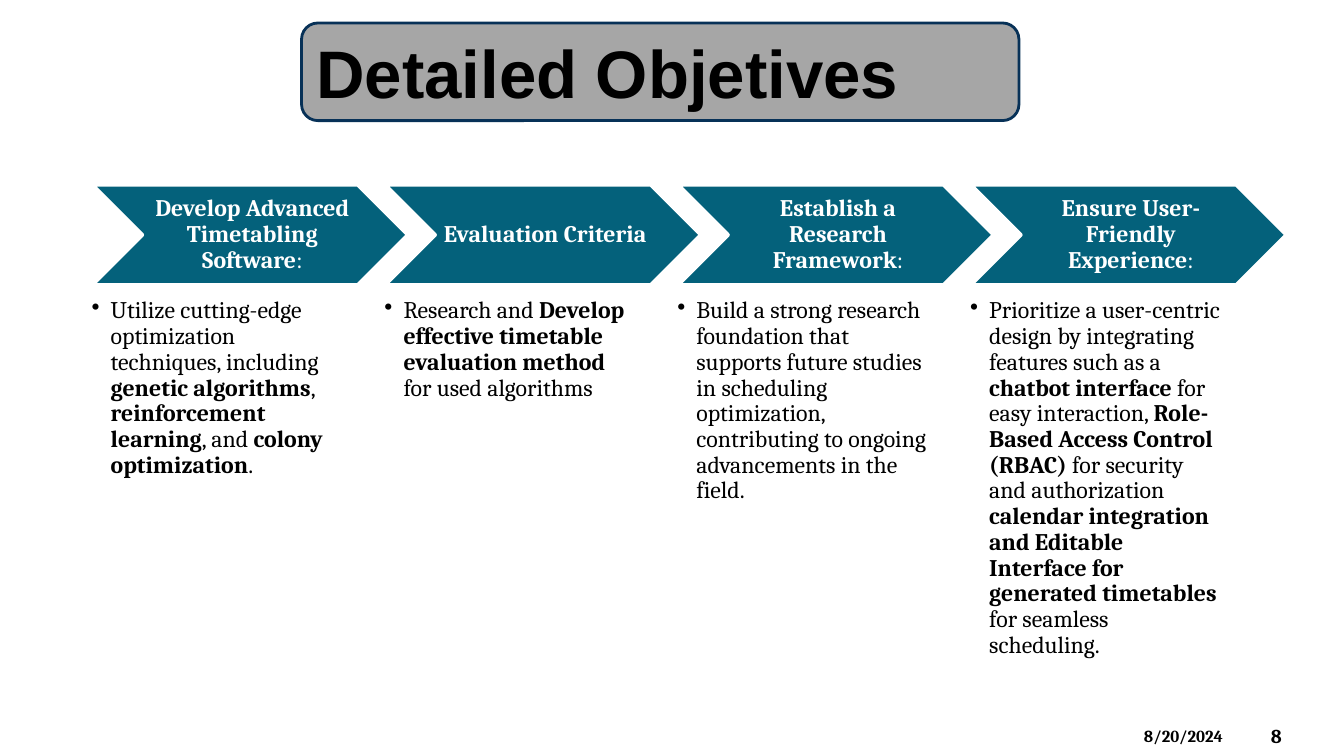
import pptx
import pptx.dml.color
import pptx.enum.shapes
import pptx.enum.text
import pptx.util
from lxml import etree
from pptx.util import Cm, Pt

TITLE = "Detailed Objetives"
FOOTERS = [  # text, size, left, top, width, height
    ("8/20/2024", 12, 28.58, 18.16, 2.97, 0.76),
    ("8", 14, 31.78, 18.03, 1.88, 1.02),
]
# Each objective: heading spans, then detail spans, as (text, bold)
OBJECTIVES = [
    ([("Develop Advanced Timetabling Software", True), (":", False)],
     [("Utilize cutting-edge optimization techniques, including ", False),
      ("genetic algorithms", True), (", ", False),
      ("reinforcement learning", True), (", and ", False),
      ("colony optimization", True), (".", False)]),
    ([("Evaluation Criteria", True)],
     [("Research and ", False),
      ("Develop effective timetable evaluation method ", True),
      ("for used algorithms", False)]),
    ([("Establish a Research Framework", True), (":", False)],
     [("Build a strong research foundation that supports future studies in "
       "scheduling optimization, contributing to ongoing advancements in the "
       "field.", False)]),
    ([("Ensure User-Friendly Experience", True), (":", False)],
     [("Prioritize a user-centric design by integrating features such as a ", False),
      ("chatbot interface", True), (" for easy interaction, ", False),
      ("Role-Based Access Control (RBAC)", True),
      (" for security and authorization ", False),
      ("calendar integration and Editable Interface for generated timetables", True),
      (" for seamless scheduling.", False)]),
]

COLUMN_LEFT, COLUMN_STEP = 2.31, 7.38
CHEVRON_TOP, CHEVRON_WIDTH, CHEVRON_HEIGHT = 4.65, 7.98, 2.54
DETAIL_TOP, DETAIL_WIDTH, DETAIL_HEIGHT = 7.52, 6.38, 9.53
BULLET_INDENT = 0.48

SHAPES = pptx.enum.shapes.MSO_SHAPE
MIDDLE = pptx.enum.text.MSO_ANCHOR.MIDDLE
CENTER = pptx.enum.text.PP_ALIGN.CENTER


def color(value):
    return pptx.dml.color.RGBColor.from_string(value)


def add_panel(kind, place, fill, line, line_width):
    panel = page.shapes.add_shape(kind, *map(Cm, place))
    panel.shadow.inherit = False
    panel.fill.solid()
    panel.fill.fore_color.rgb = color(fill)
    panel.line.color.rgb = color(line)
    panel.line.width = Pt(line_width)
    panel.text_frame.vertical_anchor = MIDDLE
    panel.text_frame.paragraphs[0].alignment = CENTER
    return panel


def add_text_box(place):
    box = page.shapes.add_textbox(*map(Cm, place))
    box.text_frame.word_wrap = True
    return box


def set_margins(frame, left, top, right, bottom):
    frame.margin_left, frame.margin_top = Cm(left), Cm(top)
    frame.margin_right, frame.margin_bottom = Cm(right), Cm(bottom)


def set_font(para, name, size, value, bold=None):
    para.font.name, para.font.size, para.font.bold = name, Pt(size), bold
    para.font.color.rgb = color(value)


def write_spans(para, spans, value):
    para.line_spacing = 0.9
    set_font(para, "Cambria", 17, value)
    for text, bold in spans:
        span = para.add_run()
        span.text = text
        span.font.bold = bold


def add_bullet(para):
    properties = para._p.get_or_add_pPr()
    properties.set("marL", str(Cm(BULLET_INDENT)))
    properties.set("indent", str(-Cm(BULLET_INDENT)))
    bullet = etree.SubElement(properties, pptx.oxml.ns.qn("a:buChar"))
    bullet.set("char", "•")


deck = pptx.Presentation()
deck.slide_width, deck.slide_height = Cm(33.87), Cm(19.05)
page = deck.slides.add_slide(deck.slide_layouts[6])

for text, size, *place in FOOTERS:
    footer = add_text_box(place)
    footer.text_frame.vertical_anchor = MIDDLE
    footer.text_frame.text = text
    set_font(footer.text_frame.paragraphs[0], "Cambria", size, "000000", True)

for column, (heading, detail) in enumerate(OBJECTIVES):
    left = COLUMN_LEFT + column * COLUMN_STEP
    chevron = add_panel(SHAPES.CHEVRON,
                        (left, CHEVRON_TOP, CHEVRON_WIDTH, CHEVRON_HEIGHT),
                        "04617B", "FFFFFF", 3)
    set_margins(chevron.text_frame, 0.18, 0.06, 0.06, 0.06)
    write_spans(chevron.text_frame.paragraphs[0], heading, "FFFFFF")

    box = add_text_box((left, DETAIL_TOP, DETAIL_WIDTH, DETAIL_HEIGHT))
    set_margins(box.text_frame, 0, 0, 0, 0)
    para = box.text_frame.paragraphs[0]
    add_bullet(para)
    write_spans(para, detail, "000000")

title = add_panel(SHAPES.ROUNDED_RECTANGLE, (7.6, 0.58, 18.08, 2.46),
                  "A6A6A6", "073157", 2)
title.text_frame.text = TITLE
set_font(title.text_frame.paragraphs[0], "Arial", 48, "000000", True)

deck.save("out.pptx")
